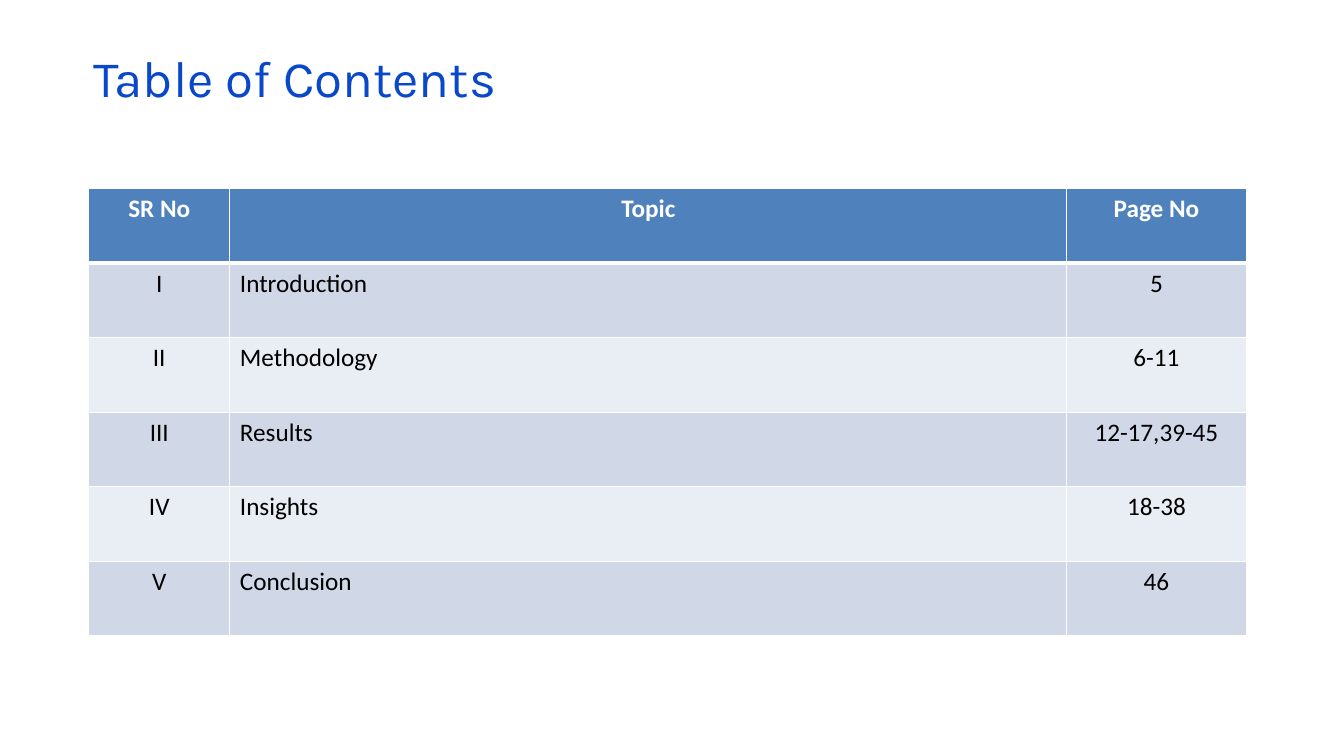
import dataclasses

import lxml.etree
import pptx
import pptx.dml.color
import pptx.enum.text
import pptx.oxml.ns
import pptx.util


@dataclasses.dataclass(frozen=True)
class Theme:
    """Colours, fonts and type sizes of the slide."""
    title_font: str = "Karla"
    body_font: str = "Calibri"
    title_size: float = 36.5
    body_size: float = 18
    title: str = "0A48CA"
    header: str = "4F81BD"
    bands: tuple = ("D0D8E8", "E9EDF4")
    light: str = "FFFFFF"
    dark: str = "000000"
    thin_border: int = 1
    thick_border: int = 3


THEME = Theme()
SLIDE_WIDTH, SLIDE_HEIGHT = 13.33, 7.5
COLUMN_WIDTHS = (1.4, 8.3, 1.78)
ROW_HEIGHT = 0.74
CENTER = pptx.enum.text.PP_ALIGN.CENTER
LEFT = pptx.enum.text.PP_ALIGN.LEFT
ALIGNMENTS = (CENTER, LEFT, CENTER)
CONTENTS = (
    ("SR No", "Topic", "Page No"),
    ("I", "Introduction", "5"),
    ("II", "Methodology", "6-11"),
    ("III", "Results", "12-17,39-45"),
    ("IV", "Insights", "18-38"),
    ("V", "Conclusion", "46"),
)


def inches(value):
    """Convert inches to a length."""
    return pptx.util.Inches(value)


def write(text_frame, text, font_name, size, color, bold=False, alignment=LEFT):
    """Put one formatted paragraph in a text frame."""
    text_frame.text = text
    paragraph = text_frame.paragraphs[0]
    paragraph.alignment = alignment
    font = paragraph.runs[0].font
    font.name = font_name
    font.size = pptx.util.Pt(size)
    font.bold = bold
    font.color.rgb = pptx.dml.color.RGBColor.from_string(color)


def add_title(slide, text):
    """Add the slide title without inner margins."""
    box = slide.shapes.add_textbox(inches(0.93), inches(0.46), inches(sum(COLUMN_WIDTHS)), inches(0.61))
    frame = box.text_frame
    frame.word_wrap = True
    frame.margin_left = frame.margin_top = frame.margin_right = frame.margin_bottom = 0
    write(frame, text, THEME.title_font, THEME.title_size, THEME.title)


def add_border(cell, side, width):
    """Draw one side of a cell border."""
    qn = pptx.oxml.ns.qn
    properties = cell._tc.get_or_add_tcPr()
    line = lxml.etree.SubElement(properties, qn(f"a:ln{side}"), w=str(pptx.util.Pt(width)))
    fill = lxml.etree.SubElement(line, qn("a:solidFill"))
    lxml.etree.SubElement(fill, qn("a:srgbClr"), val=THEME.light)


def style_cell(cell, row):
    """Give a cell its borders and its header or band fill."""
    widths = {side: THEME.thin_border for side in "LRTB"}
    if row == 0:
        widths["B"] = THEME.thick_border
    elif row == 1:
        widths["T"] = THEME.thick_border
    for side, width in widths.items():
        add_border(cell, side, width)
    color = THEME.bands[(row - 1) % 2] if row else THEME.header
    cell.fill.solid()
    cell.fill.fore_color.rgb = pptx.dml.color.RGBColor.from_string(color)


def add_contents_table(slide, rows):
    """Add the table with a header row and banded rows."""
    frame = slide.shapes.add_table(
        len(rows), len(COLUMN_WIDTHS), inches(0.88), inches(1.87),
        inches(sum(COLUMN_WIDTHS)), inches(ROW_HEIGHT * len(rows)))
    table = frame.table
    for column, width in zip(table.columns, COLUMN_WIDTHS):
        column.width = inches(width)
    for row, texts in enumerate(rows):
        table.rows[row].height = inches(ROW_HEIGHT)
        is_header = row == 0
        color = THEME.light if is_header else THEME.dark
        for column, text in enumerate(texts):
            cell = table.cell(row, column)
            style_cell(cell, row)
            alignment = CENTER if is_header else ALIGNMENTS[column]
            write(cell.text_frame, text, THEME.body_font, THEME.body_size, color, is_header, alignment)


def main():
    """Build and save the slide."""
    presentation = pptx.Presentation()
    presentation.slide_width = inches(SLIDE_WIDTH)
    presentation.slide_height = inches(SLIDE_HEIGHT)
    slide = presentation.slides.add_slide(presentation.slide_layouts[6])
    add_title(slide, "Table of Contents")
    add_contents_table(slide, CONTENTS)
    presentation.save("out.pptx")


if __name__ == "__main__":
    main()
